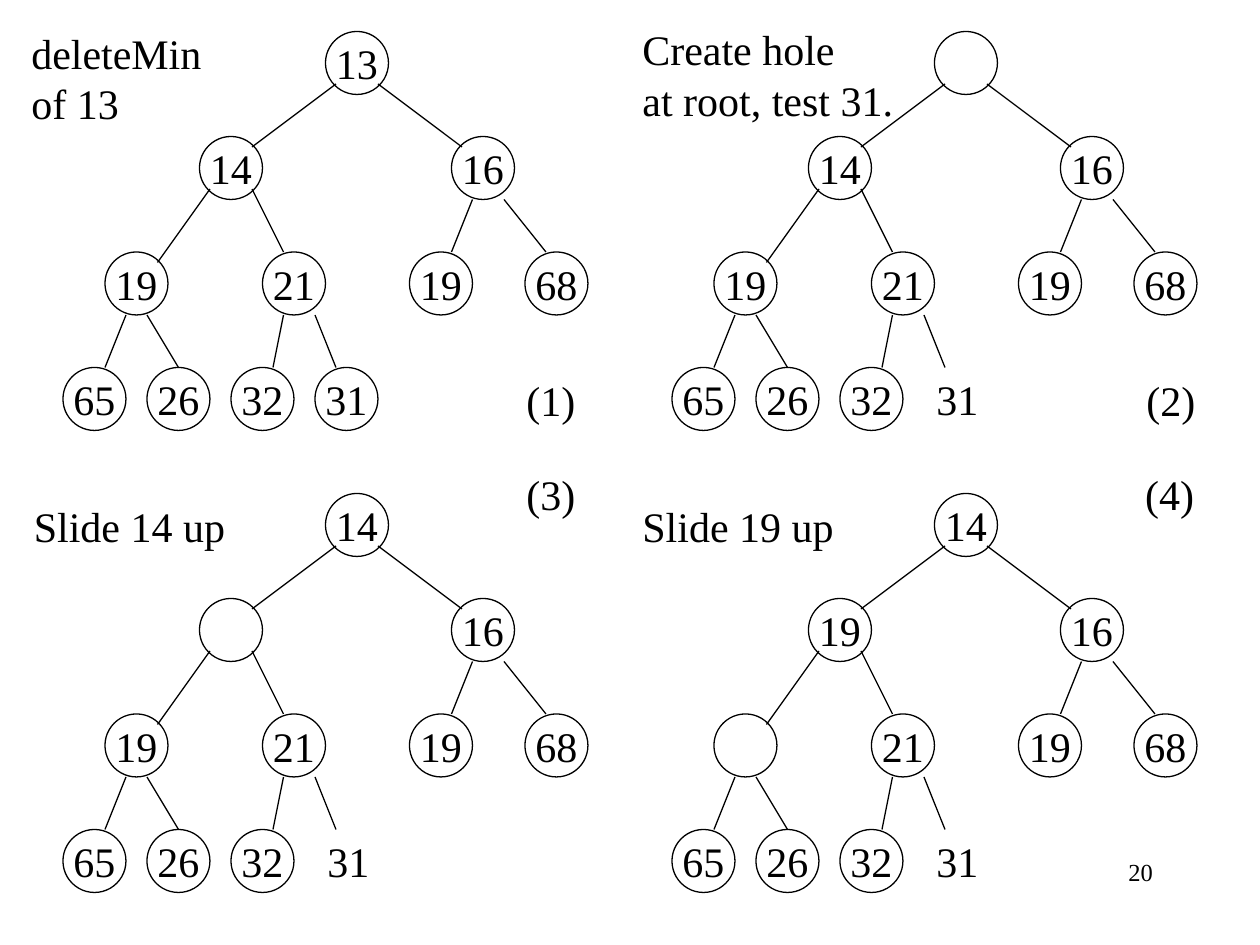
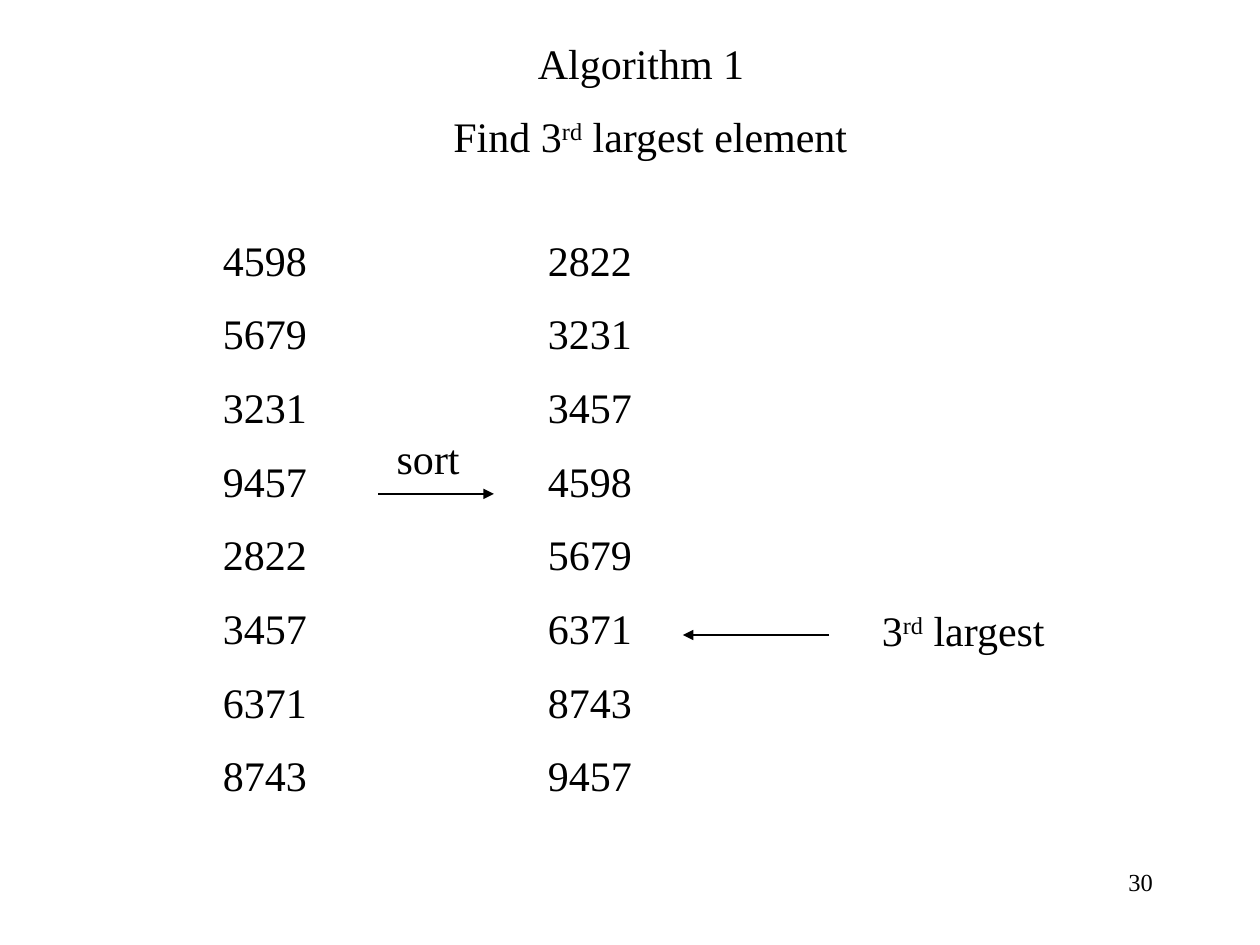
"""Heap deletion and selection by sorting, on two slides."""
from dataclasses import dataclass

from lxml.etree import SubElement
from pptx import Presentation
from pptx.dml.color import RGBColor
from pptx.enum.shapes import MSO_CONNECTOR, MSO_SHAPE
from pptx.enum.text import MSO_ANCHOR, MSO_AUTO_SIZE, PP_ALIGN
from pptx.oxml.ns import qn
from pptx.util import Inches, Pt


@dataclass(frozen=True)
class Theme:
    """Colours, font and sizes that both slides share."""
    ink: RGBColor = RGBColor(0, 0, 0)
    paper: RGBColor = RGBColor(255, 255, 255)
    font: str = "Times New Roman"
    body: float = 24
    small: float = 14
    rule: float = 0.75
    gap: float = 13.3


THEME = Theme()

# The trees sit on a grid of twelve steps to the inch.
STEP = 1 / 12
NODE = 6
SPOTS = [(31, 3), (19, 13), (43, 13),
         (10, 24), (25, 24), (39, 24), (50, 24),
         (6, 35), (14, 35), (22, 35), (30, 35)]
EDGES = [(32, 8, 24, 14), (20, 18, 15, 25), (12, 30, 10, 35),
         (14, 30, 17, 35), (24, 18, 27, 24), (27, 30, 26, 35),
         (30, 30, 32, 35), (48, 19, 52, 24), (45, 19, 43, 24),
         (36, 8, 44, 14)]
SHIFT = (58, 44)

# Column, row, top three levels of the heap, whether the last leaf is loose.
TREES = [(0, 0, ["13", "14", "16", "19"], False),
         (1, 0, ["", "14", "16", "19"], True),
         (0, 1, ["14", "", "16", "19"], True),
         (1, 1, ["14", "19", "16", ""], True)]
REST = ["21", "19", "68", "65", "26", "32", "31"]

NOTES = [(0.15, 0.17, 1.55, 0.9, ["deleteMin", "of 13"]),
         (5, 0.14, 2.21, 0.91, ["Create hole", "at root, test 31."]),
         (0.17, 3.92, 1.72, 0.5, ["Slide 14 up"]),
         (5, 3.92, 1.72, 0.5, ["Slide 19 up"]),
         (4.08, 2.92, 0.59, 0.5, ["(1)"]),
         (9, 2.92, 0.59, 0.5, ["(2)"]),
         (4.08, 3.67, 0.59, 0.5, ["(3)"]),
         (8.99, 3.67, 0.59, 0.5, ["(4)"])]

RAW = ["4598", "5679", "3231", "9457", "2822", "3457", "6371", "8743"]


def apply(target, values):
    """Set each named format value on the target."""
    for name, value in values.items():
        setattr(target, name, value)


def write(frame, lines, size=THEME.body, align=PP_ALIGN.LEFT, gap=0):
    """Fill a frame; a line is a string or a list of (text, raised) runs."""
    for index, line in enumerate(lines):
        para = frame.paragraphs[0] if index == 0 else frame.add_paragraph()
        para.alignment = align
        if gap and index:
            para.space_before = Pt(gap)
        for text, raised in [(line, False)] if isinstance(line, str) else line:
            run = para.add_run()
            run.text = text
            apply(run.font, {"name": THEME.font, "size": Pt(size)})
            run.font.color.rgb = THEME.ink
            if raised:
                run._r.get_or_add_rPr().set("baseline", "30000")


def label(slide, left, top, width, height, lines, wrap=False, fit=True,
          **style):
    """Add a text box."""
    box = slide.shapes.add_textbox(*map(Inches, (left, top, width, height)))
    size = MSO_AUTO_SIZE.SHAPE_TO_FIT_TEXT if fit else MSO_AUTO_SIZE.NONE
    apply(box.text_frame, {"word_wrap": wrap, "auto_size": size})
    write(box.text_frame, lines, **style)


def number(slide, top, text):
    """Add the page number at the lower right."""
    label(slide, 7.42, top, 1.83, 0.5, [text], wrap=True, fit=False,
          size=THEME.small, align=PP_ALIGN.RIGHT)


def stroke(line):
    """Give an outline the common colour and width."""
    line.color.rgb = THEME.ink
    line.width = Pt(THEME.rule)


def node(slide, left, top, text):
    """Add a round tree node; one without text is a hole."""
    side = Inches(NODE * STEP)
    ring = slide.shapes.add_shape(MSO_SHAPE.OVAL, Inches(left), Inches(top),
                                  side, side)
    ring.shadow.inherit = False
    ring.fill.background()
    stroke(ring.line)
    apply(ring.text_frame, {"word_wrap": False,
                            "vertical_anchor": MSO_ANCHOR.MIDDLE})
    if text:
        write(ring.text_frame, [text], align=PP_ALIGN.CENTER)


def link(slide, *ends, arrow=False):
    """Add a straight line, with an arrowhead at its end if asked."""
    line = slide.shapes.add_connector(MSO_CONNECTOR.STRAIGHT,
                                      *map(Inches, ends))
    stroke(line.line)
    props = line._element.spPr
    if arrow:
        SubElement(props.find(qn("a:ln")), qn("a:tailEnd"), type="triangle")
    SubElement(props, qn("a:effectLst"))


def tree(slide, col, row, head, loose):
    """Draw one state of the heap in its quarter of the slide."""
    across, down = col * SHIFT[0], row * SHIFT[1]
    keys = head + REST
    last = len(keys) - 1
    for index, ((x, y), key) in enumerate(zip(SPOTS, keys)):
        left, top = (x + across) * STEP, (y + down) * STEP
        if loose and index == last:
            label(slide, left, top, 0.53, 0.5, [key])
        else:
            node(slide, left, top, key)
    for x1, y1, x2, y2 in EDGES:
        link(slide, (x1 + across) * STEP, (y1 + down) * STEP,
             (x2 + across) * STEP, (y2 + down) * STEP)


def blank(deck):
    """Add a blank slide on plain paper."""
    slide = deck.slides.add_slide(deck.slide_layouts[6])
    slide.background.fill.solid()
    slide.background.fill.fore_color.rgb = THEME.paper
    return slide


def heap(deck):
    """Build the slide with four states of deleteMin."""
    slide = blank(deck)
    number(slide, 6.75, "20")
    for state in TREES:
        tree(slide, *state)
    for note in NOTES:
        label(slide, *note)


def third(deck):
    """Build the slide that sorts to find the third largest."""
    slide = blank(deck)
    number(slide, 6.83, "30")
    label(slide, 4.17, 0.25, 1.84, 0.5, ["Algorithm 1"])
    label(slide, 3.5, 0.83, 3.35, 0.5,
          [[("Find 3", False), ("rd", True), (" largest element", False)]])
    for left, keys in ((1.67, RAW), (4.25, sorted(RAW))):
        label(slide, left, 1.81, 1, 4.69, keys, wrap=True, gap=THEME.gap)
    link(slide, 3, 3.92, 3.92, 3.92, arrow=True)
    label(slide, 3.05, 3.38, 0.7, 0.5, ["sort"])
    link(slide, 6.58, 5.04, 5.42, 5.04, arrow=True)
    label(slide, 6.9, 4.75, 1.52, 0.5,
          [[("3", False), ("rd", True), (" largest", False)]])


def main():
    """Build both slides and save the deck."""
    deck = Presentation()
    apply(deck, {"slide_width": Inches(10), "slide_height": Inches(7.5)})
    heap(deck)
    third(deck)
    deck.save("out.pptx")


main()
